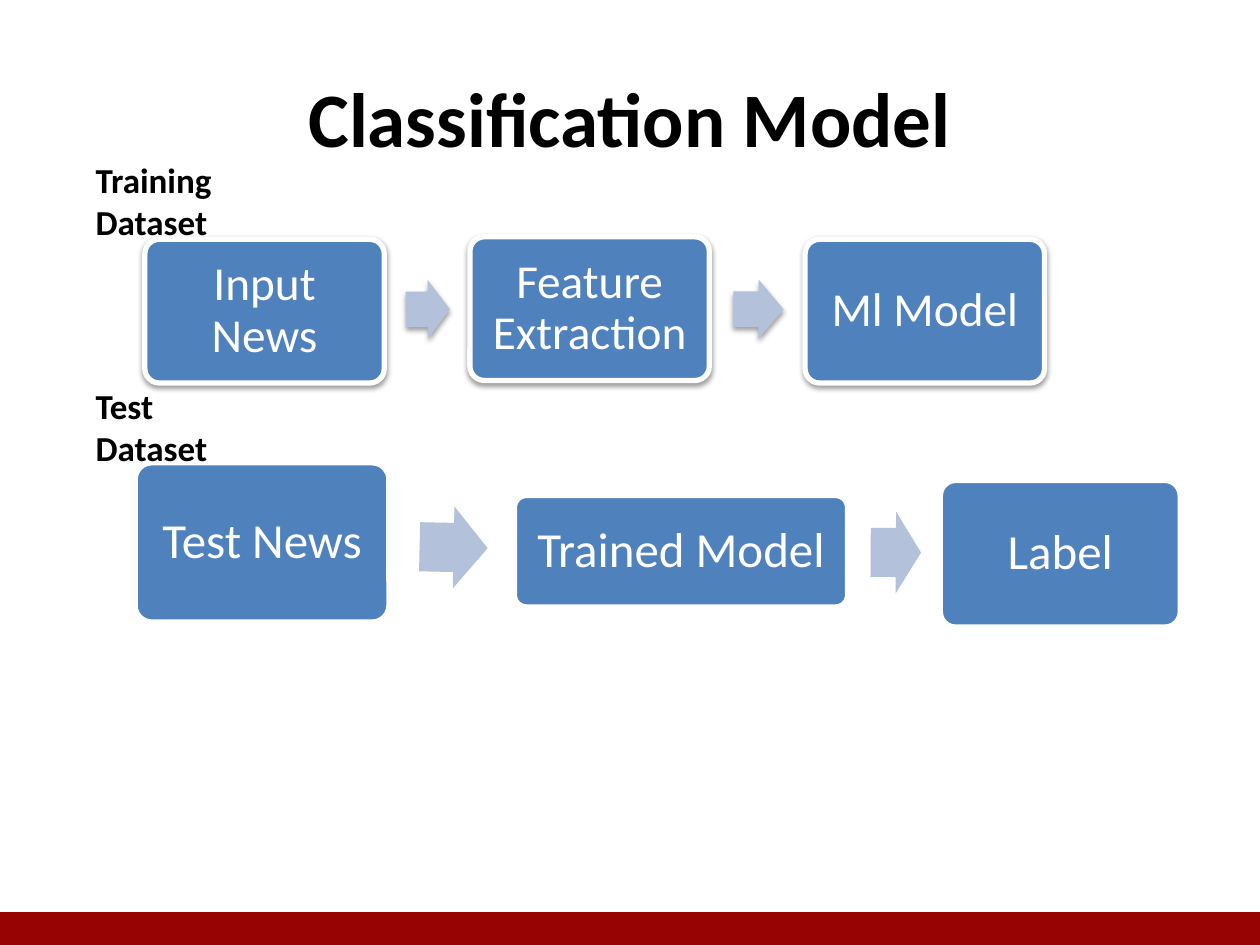
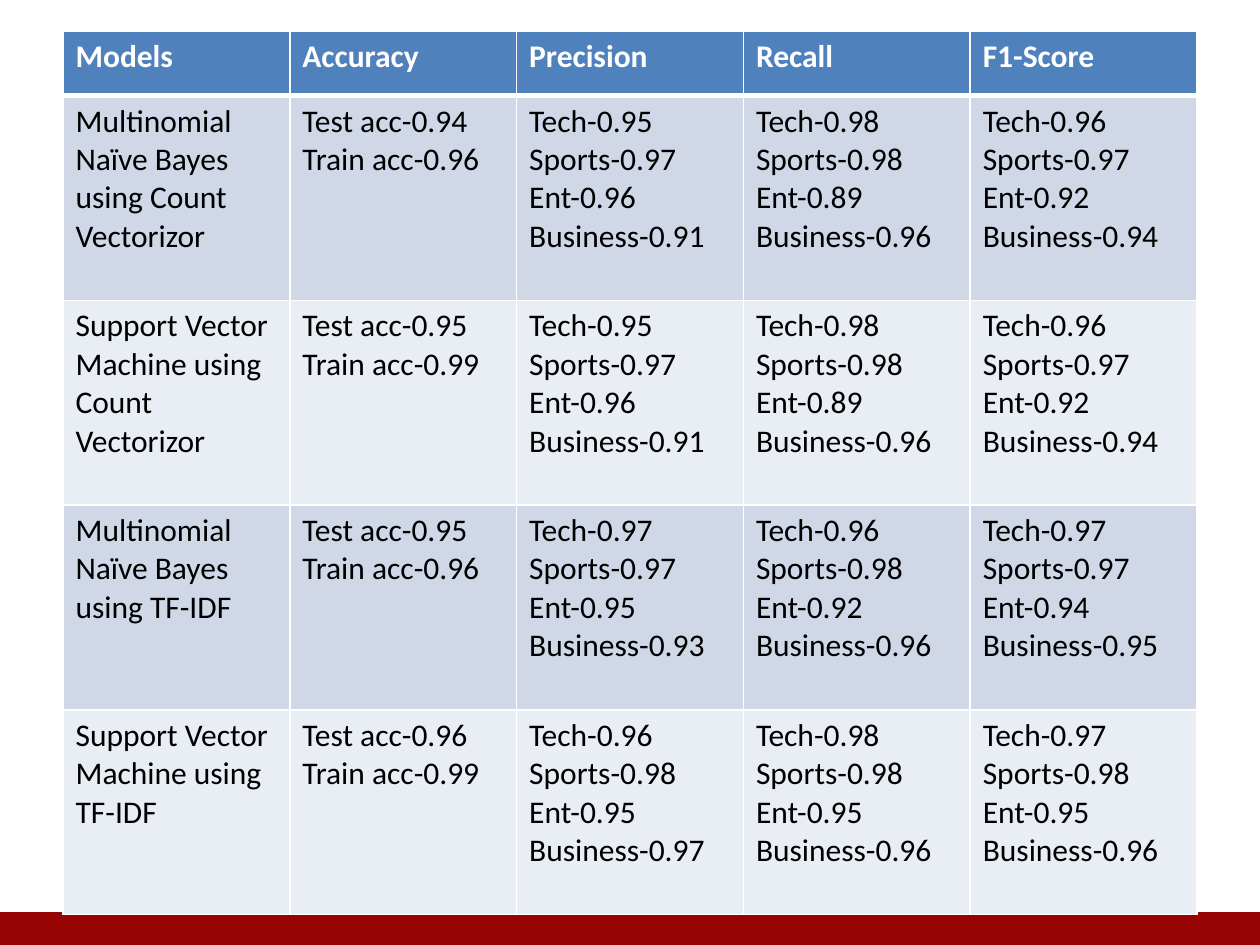
from lxml.etree import SubElement
from pptx import Presentation
from pptx.dml.color import RGBColor
from pptx.enum.shapes import MSO_SHAPE
from pptx.enum.text import MSO_ANCHOR, PP_ALIGN
from pptx.oxml.ns import qn
from pptx.util import Inches, Pt

WHITE = RGBColor(0xFF, 0xFF, 0xFF)
BLACK = RGBColor(0x00, 0x00, 0x00)
BAND_RED = RGBColor(0x97, 0x03, 0x03)
BLUE = RGBColor(0x4F, 0x81, 0xBD)
ARROW_BLUE = RGBColor(0xB3, 0xC1, 0xDB)
ROW_DARK = RGBColor(0xD0, 0xD8, 0xE8)
ROW_LIGHT = RGBColor(0xE9, 0xED, 0xF4)

WIDTH, HEIGHT = Inches(10), Inches(7.5)
COLUMNS, ROWS = 100, 75
TITLE_ONLY, BLANK = 5, 6

TITLE_FONT = {"name": "Calibri", "size": Pt(44), "bold": True}
LABEL_FONT = {"name": "Calibri", "size": Pt(20), "bold": True}
HEADER_FONT = {"name": "Calibri", "size": Pt(18), "bold": True}
CELL_FONT = {"name": "Calibri", "size": Pt(18), "bold": False}

TRAINING_STEPS = [
    ("Input News", (11.5, 19, 19, 11.4)),
    ("Feature Extraction", (37.3, 18.8, 19, 11.4)),
    ("Ml Model", (63.9, 19, 19, 11.4)),
]
TRAINING_ARROWS = [((32.2, 22.2, 3.5, 4.7), -0.5), ((58.2, 22.2, 4, 4.7), 0.5)]
TEST_STEPS = [
    ("Test News", (10.8, 36.8, 20, 12.5)),
    ("Trained Model", (40.9, 39.4, 26.3, 8.7)),
    ("Label", (74.7, 38.2, 18.9, 11.5)),
]
TEST_ARROWS = [((33.3, 40.2, 5.4, 6.5), 1.2), ((69.1, 40.6, 4, 6.5), 0.3)]

HEADERS = ["Models", "Accuracy", "Precision", "Recall", "F1-Score"]
SPLITS = ["Test acc", "Train acc"]
TOPICS = ["Tech", "Sports", "Ent", "Business"]
RESULTS = [
    ("Multinomial Naïve Bayes using Count Vectorizor",
     [0.94, 0.96], [0.95, 0.97, 0.96, 0.91],
     [0.98, 0.98, 0.89, 0.96], [0.96, 0.97, 0.92, 0.94]),
    ("Support Vector Machine using Count\nVectorizor",
     [0.95, 0.99], [0.95, 0.97, 0.96, 0.91],
     [0.98, 0.98, 0.89, 0.96], [0.96, 0.97, 0.92, 0.94]),
    ("Multinomial Naïve Bayes using TF-IDF",
     [0.95, 0.96], [0.97, 0.97, 0.95, 0.93],
     [0.96, 0.98, 0.92, 0.96], [0.97, 0.97, 0.94, 0.95]),
    ("Support Vector Machine using\nTF-IDF",
     [0.96, 0.99], [0.96, 0.98, 0.95, 0.97],
     [0.98, 0.98, 0.95, 0.96], [0.97, 0.98, 0.95, 0.96]),
]


def place(left, top, width, height):
    column, row = WIDTH / COLUMNS, HEIGHT / ROWS
    return [int(length) for length in
            (left * column, top * row, width * column, height * row)]


def apply(target, values):
    for name, value in values.items():
        setattr(target, name, value)


def write(frame, text, font, color, paragraph_format=None):
    frame.text = text
    for para in frame.paragraphs:
        apply(para, paragraph_format or {})
        for span in para.runs:
            apply(span.font, font)
            span.font.color.rgb = color


def add_shadow(shape):
    effects = shape.element.spPr.find(qn("a:effectLst"))
    shadow = SubElement(effects, qn("a:outerShdw"), blurRad=str(Pt(3.1)),
                        dist=str(Pt(1.6)), dir="5400000", rotWithShape="0")
    color = SubElement(shadow, qn("a:srgbClr"), val="000000")
    SubElement(color, qn("a:alpha"), val="38000")


def add_filled(shapes, kind, area, color, line_color=None, line_width=0):
    shape = shapes.add_shape(kind, *place(*area))
    shape.shadow.inherit = False
    shape.fill.solid()
    shape.fill.fore_color.rgb = color
    if line_color is None:
        shape.line.fill.background()
    else:
        shape.line.color.rgb = line_color
        shape.line.width = Pt(line_width)
    return shape


def add_master_band(deck, page):
    band = add_filled(page.shapes, MSO_SHAPE.RECTANGLE,
                      (0, 72.5, COLUMNS, 2.5), BAND_RED, BAND_RED, 2)
    band.element.nvSpPr.cNvPr.set("id", "50")
    deck.slide_master.shapes.element.insert(2, band.element)


def add_title(page, text):
    title = page.shapes.title
    apply(title, dict(zip(("left", "top", "width", "height"),
                          place(5, 3, 90, 12.5))))
    title.text_frame.vertical_anchor = MSO_ANCHOR.MIDDLE
    write(title.text_frame, text, TITLE_FONT, BLACK,
          {"alignment": PP_ALIGN.CENTER})


def add_label(page, text, area):
    box = page.shapes.add_textbox(*place(*area))
    box.text_frame.word_wrap = True
    write(box.text_frame, text, LABEL_FONT, BLACK)


def add_step(shapes, text, area, size, inset, line_width):
    step = add_filled(shapes, MSO_SHAPE.ROUNDED_RECTANGLE, area, BLUE,
                      WHITE, line_width)
    step.adjustments[0] = 0.1
    frame = step.text_frame
    margins = ("margin_left", "margin_top", "margin_right", "margin_bottom")
    apply(frame, dict.fromkeys(margins, Inches(inset)))
    apply(frame, {"word_wrap": True, "vertical_anchor": MSO_ANCHOR.MIDDLE})
    write(frame, text, {"name": "Calibri", "size": Pt(size)}, WHITE,
          {"alignment": PP_ALIGN.CENTER, "line_spacing": 0.9})
    return step


def add_arrow(shapes, area, angle):
    arrow = add_filled(shapes, MSO_SHAPE.RIGHT_ARROW, area, ARROW_BLUE)
    arrow.adjustments[0] = 0.6
    arrow.adjustments[1] = 0.5
    arrow.rotation = angle
    return arrow


def add_flow(page, steps, arrows, size, inset, line_width, shadowed):
    shapes = page.shapes.add_group_shape().shapes
    parts = [add_step(shapes, text, area, size, inset, line_width)
             for text, area in steps]
    parts += [add_arrow(shapes, area, angle) for area, angle in arrows]
    if shadowed:
        for part in parts:
            add_shadow(part)


def add_borders(cell, widths):
    properties = cell._tc.get_or_add_tcPr()
    for side, width in widths.items():
        line = SubElement(properties, qn(f"a:ln{side}"), w=str(Pt(width)))
        fill = SubElement(line, qn("a:solidFill"))
        SubElement(fill, qn("a:srgbClr"), val=str(WHITE))


def score_lines(names, scores):
    return "\n".join(f"{name}-{score:.2f}" for name, score in zip(names, scores))


def add_results_table(page):
    lines = [HEADERS]
    for model, accuracy, *metrics in RESULTS:
        lines.append([model, score_lines(SPLITS, accuracy)]
                     + [score_lines(TOPICS, scores) for scores in metrics])
    table = page.shapes.add_table(len(lines), len(HEADERS),
                                  *place(5, 2.5, 90, 70)).table
    for index, row in enumerate(table.rows):
        row.height = place(0, 0, 0, 16.25 if index else 5.1)[3]
        is_header = index == 0
        fill = BLUE if is_header else (ROW_DARK if index % 2 else ROW_LIGHT)
        font = HEADER_FONT if is_header else CELL_FONT
        borders = {"L": 1, "R": 1, "T": 3 if index == 1 else 1,
                   "B": 3 if is_header else 1}
        for cell, text in zip(row.cells, lines[index]):
            add_borders(cell, borders)
            cell.fill.solid()
            cell.fill.fore_color.rgb = fill
            write(cell.text_frame, text, font, WHITE if is_header else BLACK)


def main():
    deck = Presentation()
    apply(deck, {"slide_width": WIDTH, "slide_height": HEIGHT})

    model_page = deck.slides.add_slide(deck.slide_layouts[TITLE_ONLY])
    add_master_band(deck, model_page)
    add_title(model_page, "Classification Model")
    add_flow(model_page, TEST_STEPS, TEST_ARROWS, 28, 0.12, 2, False)
    add_label(model_page, "Test Dataset", (6.6, 30, 11.5, 7.7))
    add_label(model_page, "Training\nDataset", (6.6, 12.1, 20.2, 10.8))
    add_flow(model_page, TRAINING_STEPS, TRAINING_ARROWS, 27, 0.11, 3, True)

    results_page = deck.slides.add_slide(deck.slide_layouts[BLANK])
    add_results_table(results_page)

    deck.save("out.pptx")


if __name__ == "__main__":
    main()
